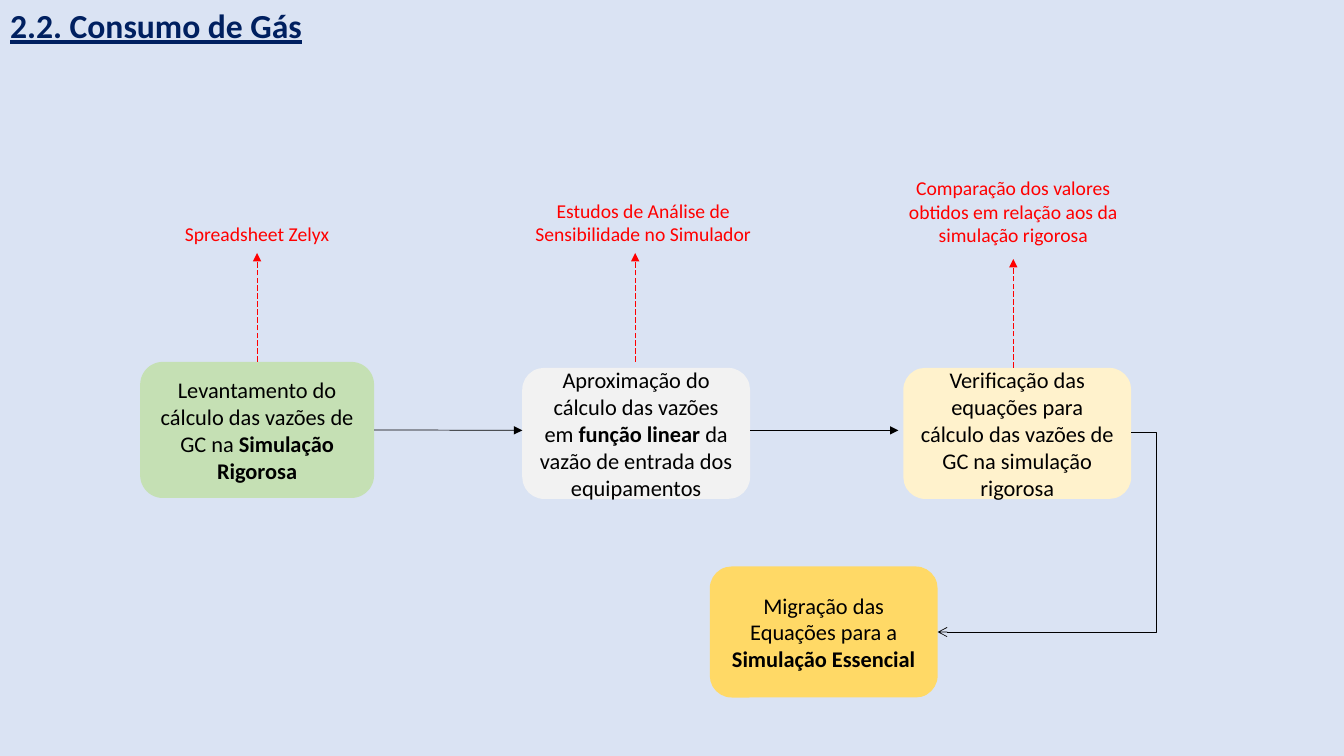
from lxml import etree
from pptx import Presentation
from pptx.dml.color import RGBColor
from pptx.enum.dml import MSO_LINE
from pptx.enum.shapes import MSO_CONNECTOR, MSO_SHAPE
from pptx.enum.text import MSO_ANCHOR, MSO_AUTO_SIZE, PP_ALIGN
from pptx.oxml.ns import qn
from pptx.util import Inches, Pt

STRAIGHT, ELBOW = MSO_CONNECTOR.STRAIGHT, MSO_CONNECTOR.ELBOW
TOP_SIDE, RIGHT_SIDE = 0, 3
COLORS = {
    "background": "DAE3F3", "title": "002060", "text": "000000", "note": "FF0000",
    "survey": "C5E0B4", "approximation": "F2F2F2",
    "verification": "FFF2CC", "migration": "FFD966",
}


def add_span(para, text, size, color, bold=False):
    span = para.add_run()
    span.text = text
    span.font.name = "Calibri"
    span.font.size = Pt(size)
    span.font.bold = bold
    span.font.color.rgb = RGBColor.from_string(COLORS[color])
    return span


def add_arrow(kind, start, end, color, head="triangle"):
    arrow = page.shapes.add_connector(kind, *map(Inches, start + end))
    arrow.line.color.rgb = RGBColor.from_string(COLORS[color])
    arrow.line.width = Pt(0.5)
    if color == "note":
        arrow.line.dash_style = MSO_LINE.LONG_DASH
    etree.SubElement(arrow.line._get_or_add_ln(), qn("a:tailEnd"), type=head)
    etree.SubElement(arrow._element.spPr, qn("a:effectLst"))
    return arrow


deck = Presentation()
deck.slide_width, deck.slide_height = Inches(13.33), Inches(7.5)
page = deck.slides.add_slide(deck.slide_layouts[5])
page.background.fill.solid()
page.background.fill.fore_color.rgb = RGBColor.from_string(COLORS["background"])

# Title
title = page.shapes.title
title.left, title.top, title.width, title.height = map(Inches, (0, 0, 9.09, 0.5))
title.text_frame.word_wrap = True
title.text_frame.auto_size = MSO_AUTO_SIZE.NONE
title.text_frame.vertical_anchor = MSO_ANCHOR.TOP
para = title.text_frame.paragraphs[0]
para.alignment = PP_ALIGN.LEFT
add_span(para, "2.2. Consumo de Gás", 24, "title", bold=True).font.underline = True

# Process steps: name, place, runs as (text, bold)
steps = [
    ("survey", (1.39, 3.59, 2.32, 1.35),
     [("Levantamento do cálculo das vazões de GC na ", False),
      ("Simulação Rigorosa", True)]),
    ("approximation", (5.18, 3.65, 2.26, 1.3),
     [("Aproximação do cálculo das vazões em ", False), ("função linear ", True),
      ("da vazão de entrada dos equipamentos", False)]),
    ("verification", (8.96, 3.65, 2.26, 1.3),
     [("Verificação das equações para cálculo das vazões de GC na simulação rigorosa",
       False)]),
    ("migration", (7.04, 5.62, 2.26, 1.3),
     [("Migração das Equações para a ", False), ("Simulação Essencial", True)]),
]
boxes = {}
for name, place, spans in steps:
    box = page.shapes.add_shape(MSO_SHAPE.ROUNDED_RECTANGLE, *map(Inches, place))
    box.shadow.inherit = False
    box.fill.solid()
    box.fill.fore_color.rgb = RGBColor.from_string(COLORS[name])
    box.line.fill.background()
    box.text_frame.word_wrap = True
    box.text_frame.vertical_anchor = MSO_ANCHOR.MIDDLE
    para = box.text_frame.paragraphs[0]
    para.alignment = PP_ALIGN.CENTER
    for text, bold in spans:
        add_span(para, text, 16, "text", bold)
    boxes[name] = box

# Red notes above the steps
notes = [
    ("Spreadsheet Zelyx", (1.26, 2.15, 2.58, 0.34)),
    ("Estudos de Análise de Sensibilidade no Simulador", (5.09, 1.92, 2.58, 0.57)),
    ("Comparação dos valores obtidos em relação aos da simulação rigorosa",
     (8.76, 1.7, 2.58, 0.81)),
]
for text, place in notes:
    note = page.shapes.add_textbox(*map(Inches, place))
    note.text_frame.word_wrap = True
    note.text_frame.auto_size = MSO_AUTO_SIZE.SHAPE_TO_FIT_TEXT
    para = note.text_frame.paragraphs[0]
    para.alignment = PP_ALIGN.CENTER
    add_span(para, text, 14, "note")

# Dashed arrows from the steps up to the notes
note_arrows = [add_arrow(STRAIGHT, (x, y), (x, y - 1.08), "note")
               for x, y in [(2.55, 3.59), (6.3, 3.59), (10.05, 3.65)]]
note_arrows[0].begin_connect(boxes["survey"], TOP_SIDE)

# Arrows along the row of steps
flow_arrows = [add_arrow(STRAIGHT, (x, 4.27), (x + 1.47, 4.27), "text")
               for x in (3.71, 7.44)]
flow_arrows[0].begin_connect(boxes["survey"], RIGHT_SIDE)

# Bent arrow that turns 0.25 inch to the right of the verification step
bent = add_arrow(ELBOW, (11.22, 4.29), (9.3, 6.27), "text", head="arrow")
guides = bent._element.spPr.find(qn("a:prstGeom")).get_or_add_avLst()
etree.SubElement(guides, qn("a:gd"), name="adj1", fmla="val -13000")

deck.save("out.pptx")
